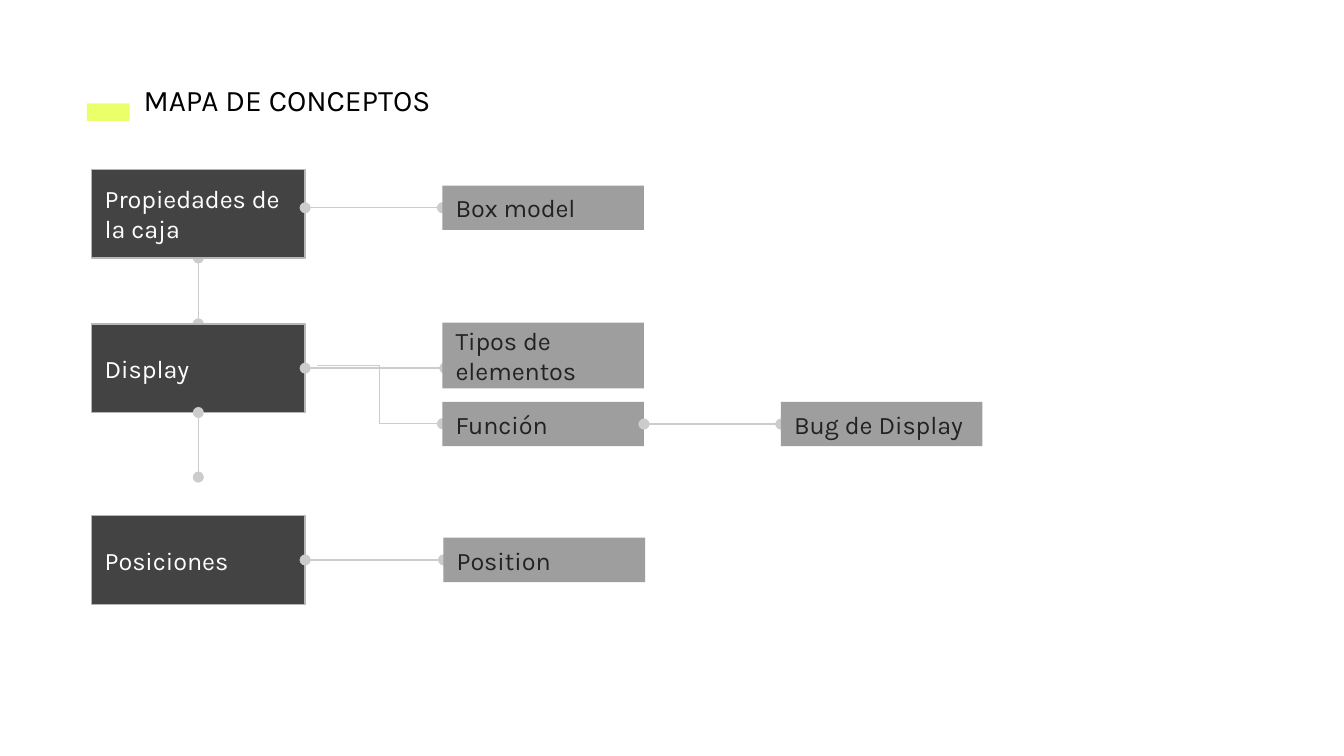
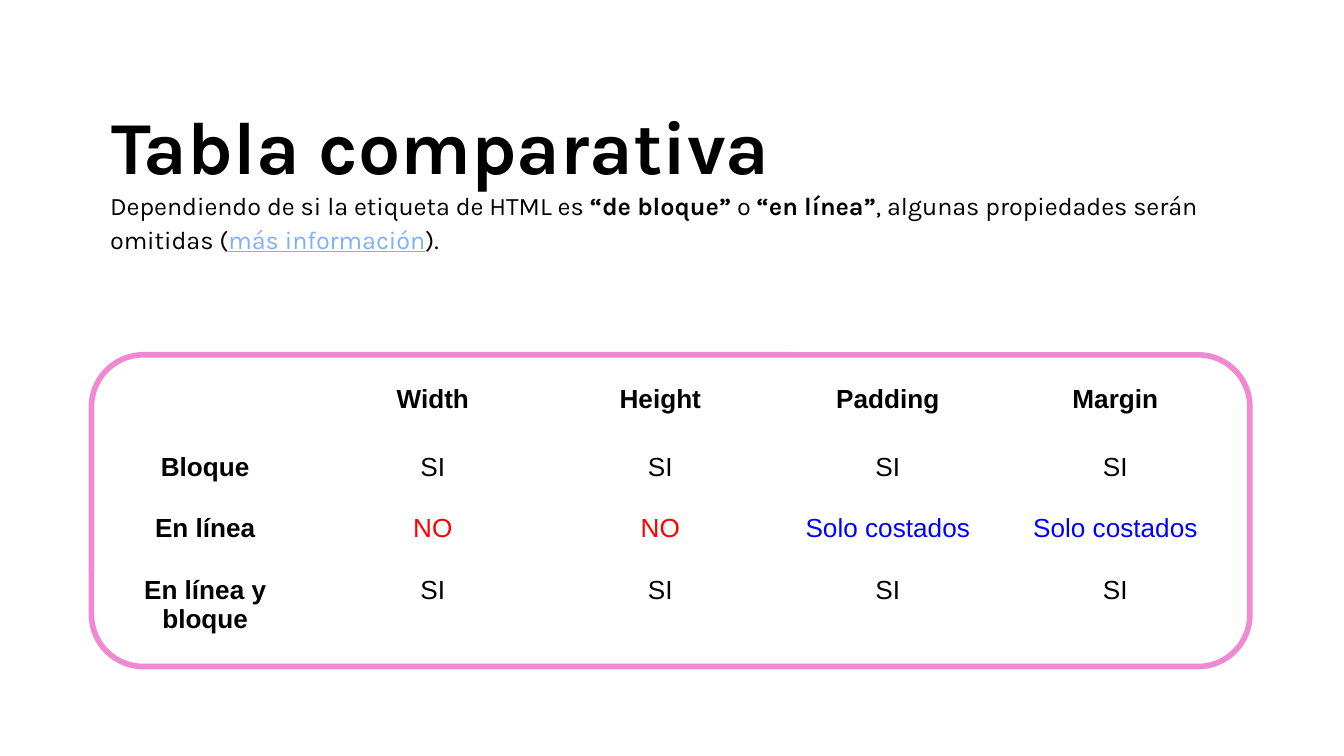
"""Builds a concept map slide and a comparison table slide about CSS boxes."""
from dataclasses import dataclass

from lxml.etree import SubElement
from pptx import Presentation
from pptx.dml.color import RGBColor
from pptx.enum.shapes import MSO_CONNECTOR, MSO_SHAPE
from pptx.enum.text import MSO_ANCHOR, MSO_AUTO_SIZE, PP_ALIGN
from pptx.oxml.ns import qn
from pptx.util import Pt


@dataclass(frozen=True)
class Theme:
    """Colours, fonts and type sizes."""
    black: str = "000000"
    white: str = "FFFFFF"
    lime: str = "EAFF6A"
    dark: str = "434343"
    dark_edge: str = "B7B7B7"
    light: str = "9E9E9E"
    ink: str = "222222"
    rule: str = "CCCCCC"
    link: str = "83AEFB"
    pink: str = "EF89D2"
    red: str = "FF0000"
    blue: str = "0000FF"
    font: str = "Karla"
    table_font: str = "Arial"
    heading: float = 16
    title: float = 40
    body: float = 13.5
    cell: float = 14


T = Theme()


def rgb(color):
    """Return the colour for a hex string."""
    return RGBColor.from_string(color)


def add_text(p, text, size=T.body, color=T.black, bold=False, underline=False, font=T.font):
    """Add one formatted run to a paragraph."""
    r = p.add_run()
    r.text = text
    f = r.font
    f.name, f.size, f.bold, f.underline = font, Pt(size), bold, underline
    f.color.rgb = rgb(color)


class Deck:
    """Holds the presentation and the current slide."""

    def __init__(self):
        """Start an empty deck."""
        self.prs = Presentation()
        self.prs.slide_width, self.prs.slide_height = Pt(720), Pt(405)

    def slide(self, layout):
        """Add a slide and make it current."""
        self.s = self.prs.slides.add_slide(self.prs.slide_layouts[layout])

    def placeholder(self, idx, x, y, w, h, runs, spacing=1.0, after=0):
        """Move a placeholder and fill it with formatted runs."""
        sp = self.s.placeholders[idx]
        sp.left, sp.top, sp.width, sp.height = Pt(x), Pt(y), Pt(w), Pt(h)
        tf = self.frame(sp, MSO_ANCHOR.TOP)
        p = tf.paragraphs[0]
        pPr = p._p.get_or_add_pPr()
        pPr.set("marL", "0")
        pPr.set("indent", "0")
        SubElement(pPr, qn("a:buNone"))
        p.alignment, p.line_spacing = PP_ALIGN.LEFT, spacing
        p.space_before, p.space_after = Pt(0), Pt(after)
        for text, fmt in runs:
            add_text(p, text, **fmt)

    def frame(self, sp, anchor):
        """Set the common margins of a text frame."""
        tf = sp.text_frame
        tf.word_wrap, tf.auto_size, tf.vertical_anchor = True, MSO_AUTO_SIZE.NONE, anchor
        tf.margin_left = tf.margin_right = tf.margin_top = tf.margin_bottom = Pt(7.2)
        return tf

    def shape(self, x, y, w, h, fill=None, line=None, width=0.75, kind=MSO_SHAPE.RECTANGLE):
        """Add a preset shape."""
        sp = self.s.shapes.add_shape(kind, Pt(x), Pt(y), Pt(w), Pt(h))
        sp.shadow.inherit = False
        if fill:
            sp.fill.solid()
            sp.fill.fore_color.rgb = rgb(fill)
        else:
            sp.fill.background()
        if line:
            sp.line.color.rgb, sp.line.width = rgb(line), Pt(width)
        else:
            sp.line.fill.background()
        return sp

    def box(self, x, y, w, h, text, color, **style):
        """Add a labelled rectangle."""
        sp = self.shape(x, y, w, h, **style)
        p = self.frame(sp, MSO_ANCHOR.MIDDLE).paragraphs[0]
        p.alignment = PP_ALIGN.LEFT
        add_text(p, text, color=color)
        return sp

    def topic(self, y, text):
        """Add a main concept box."""
        return self.box(49, y, 114.5, 47.5, text, T.white, fill=T.dark, line=T.dark_edge)

    def detail(self, y, text, x=237, h=23.8):
        """Add a secondary concept box."""
        return self.box(x, y, 108, h, text, T.ink, fill=T.light)

    def line(self, x1, y1, x2, y2, kind=MSO_CONNECTOR.STRAIGHT, ends=("headEnd", "tailEnd")):
        """Add a connector with round ends."""
        c = self.s.shapes.add_connector(kind, Pt(x1), Pt(y1), Pt(x2), Pt(y2))
        c.line.color.rgb, c.line.width = rgb(T.rule), Pt(0.75)
        ln = c.line._get_or_add_ln()
        for end in ends:
            SubElement(ln, qn(f"a:{end}"), type="oval")
        SubElement(c._element.spPr, qn("a:effectLst"))
        return c

    def table(self, x, y, col_w, heights, rows, colors):
        """Add a plain table with bold first row and column."""
        n = len(rows[0])
        gf = self.s.shapes.add_table(len(rows), n, Pt(x), Pt(y), Pt(col_w * n), Pt(sum(heights)))
        tbl = gf.table
        tbl.first_row = tbl.horz_banding = False
        for col in tbl.columns:
            col.width = Pt(col_w)
        for i, row in enumerate(rows):
            tbl.rows[i].height = Pt(heights[i])
            for j, text in enumerate(row):
                cell = tbl.cell(i, j)
                cell.fill.background()
                cell.margin_left = cell.margin_right = Pt(7.2)
                cell.margin_top = cell.margin_bottom = Pt(7.2)
                if text:
                    p = cell.text_frame.paragraphs[0]
                    p.alignment = PP_ALIGN.CENTER
                    add_text(p, text, size=T.cell, font=T.table_font,
                             bold=i == 0 or j == 0, color=colors.get(text, T.black))


def concept_map(d):
    """Build the concept map slide."""
    d.slide(5)
    d.shape(46.5, 55.4, 23, 9.4, fill=T.lime)
    d.placeholder(0, 69.8, 36.7, 193.7, 33.8, [("MAPA DE CONCEPTOS", {"size": T.heading})])

    down = d.line(106.25, 138.2, 106.25, 173.5)
    display = d.topic(173.5, "Display")
    props = d.topic(90.7, "Propiedades de la caja")
    down.begin_connect(props, 2)
    down.end_connect(display, 0)

    to_types = d.line(163.5, 197.25, 238.3, 197.25)
    to_types.begin_connect(display, 3)
    d.detail(172.8, "Tipos de elementos", h=35.3)
    d.line(169.9, 195.8, 237, 227, MSO_CONNECTOR.ELBOW, ("tailEnd",))
    function = d.detail(215.3, "Función")

    to_model = d.line(163.5, 111.3, 237, 111.3)
    to_model.end_connect(d.detail(99.4, "Box model"), 1)

    to_bug = d.line(345, 227.2, 418.3, 227.2)
    to_bug.begin_connect(function, 3)
    to_bug.end_connect(d.detail(215.3, "Bug de Display", x=418.3), 1)

    d.line(106.25, 221, 106.25, 255.6).begin_connect(display, 2)
    positions = d.topic(276.25, "Posiciones")
    to_position = d.line(163.5, 300, 237.6, 300)
    to_position.begin_connect(positions, 3)
    to_position.end_connect(d.detail(288.1, "Position", x=237.6), 1)


def comparison(d):
    """Build the comparison table slide."""
    d.slide(1)
    d.placeholder(0, 52.5, 22.3, 491, 54.7,
                  [("Tabla comparativa", {"size": T.title, "bold": True})], 1.5, 11)
    d.placeholder(1, 51.8, 92.2, 615.6, 60.5, [
        ("Dependiendo de si la etiqueta de HTML es ", {}),
        ("“de bloque”", {"bold": True}),
        (" o ", {}),
        ("“en línea”", {"bold": True}),
        (", algunas propiedades serán omitidas (", {}),
        ("más información", {"color": T.link, "underline": True}),
        (").", {}),
    ], 1.15)
    yes = ["SI"] * 4
    d.table(49, 198.7, 121.9, [33.1] * 3 + [50.4], [
        ["", "Width", "Height", "Padding", "Margin"],
        ["Bloque", *yes],
        ["En línea", "NO", "NO", "Solo costados", "Solo costados"],
        ["En línea y bloque", *yes],
    ], {"NO": T.red, "Solo costados": T.blue})
    d.shape(49, 190.1, 620.6, 167, line=T.pink, width=3, kind=MSO_SHAPE.ROUNDED_RECTANGLE)


def main():
    """Build and save the deck."""
    d = Deck()
    concept_map(d)
    comparison(d)
    d.prs.save("out.pptx")


if __name__ == "__main__":
    main()
